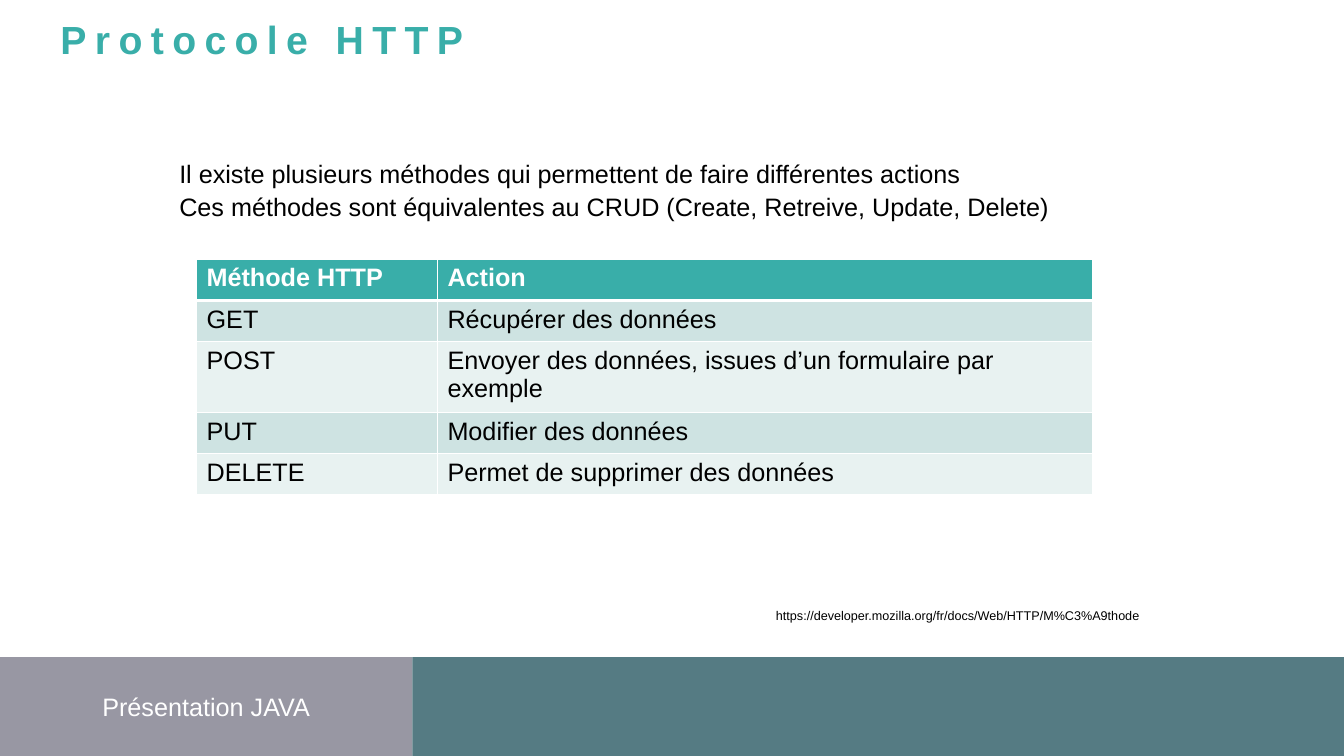
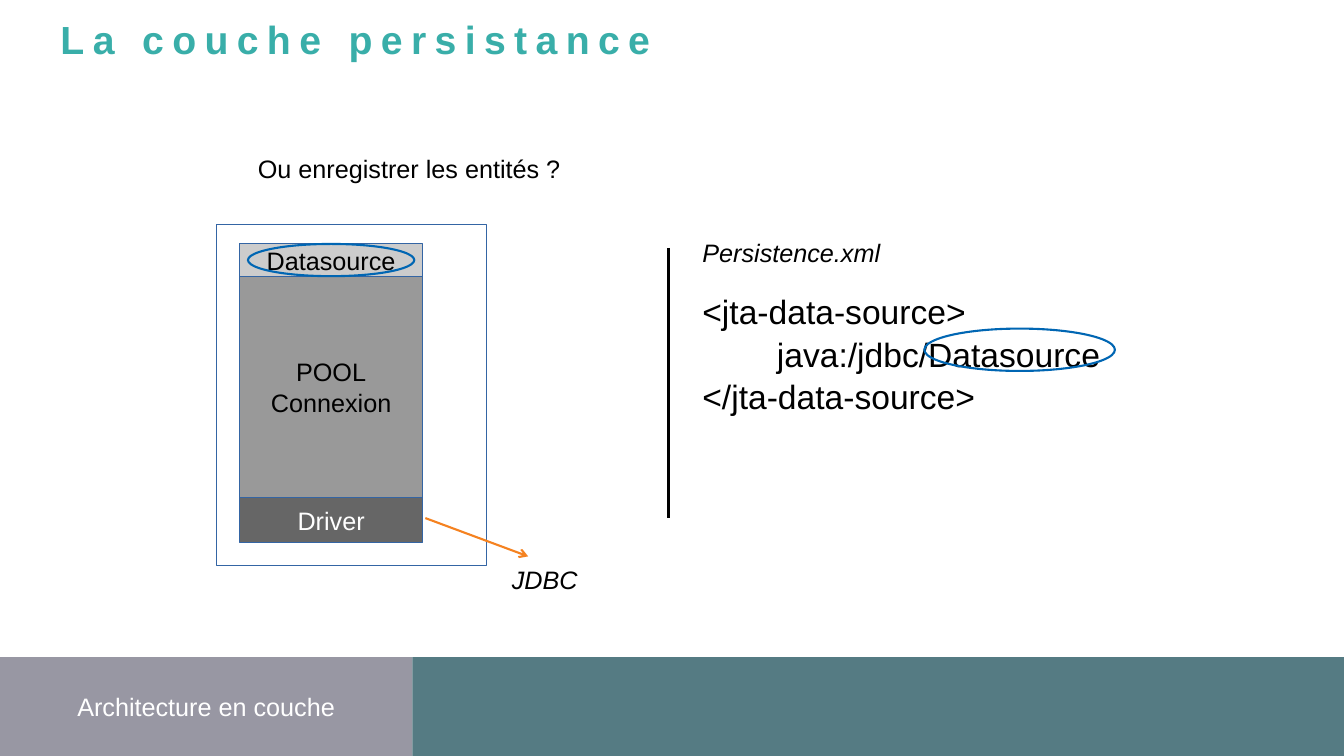
"""Build two course slides: HTTP methods and the persistence layer."""
from dataclasses import dataclass

from lxml import etree
from pptx import Presentation
from pptx.dml.color import RGBColor
from pptx.enum.shapes import MSO_CONNECTOR, MSO_SHAPE
from pptx.enum.text import MSO_ANCHOR, MSO_AUTO_SIZE, PP_ALIGN
from pptx.oxml.ns import qn
from pptx.util import Inches, Pt

RECTANGLE, OVAL = MSO_SHAPE.RECTANGLE, MSO_SHAPE.OVAL
STRAIGHT = MSO_CONNECTOR.STRAIGHT
TOP, MIDDLE = MSO_ANCHOR.TOP, MSO_ANCHOR.MIDDLE
LEFT, CENTER = PP_ALIGN.LEFT, PP_ALIGN.CENTER
NO_AUTOFIT = MSO_AUTO_SIZE.NONE
TITLE_ONLY = 5
COLUMNS, ROWS = 133.33, 75
UNIT = Inches(0.1)
BAND_TOP, BAND_SPLIT = 65.2, 40.9


@dataclass(frozen=True)
class Theme:
    """Colours and type sizes shared by the slides."""

    font: str = "Arial"
    title: int = 28
    code: int = 24
    body: int = 18
    source: int = 9
    black: str = "000000"
    white: str = "FFFFFF"
    accent: str = "39AEA9"
    footer: str = "9897A3"
    band: str = "557B83"
    stripes: tuple = ("CEE3E2", "E8F2F1")
    outline: str = "3465A4"
    marker: str = "0066B3"
    arrow: str = "F58220"
    light: str = "CCCCCC"
    medium: str = "999999"
    dark: str = "666666"


THEME = Theme()


def grid(*lengths):
    """Convert grid columns and rows to slide lengths."""
    return [round(length * UNIT) for length in lengths]


def rgb(code):
    """Turn a hexadecimal code into a colour."""
    return RGBColor.from_string(code)


def write(frame, text, *, size=THEME.body, color=THEME.black, bold=False, italic=False,
          align=LEFT, anchor=TOP, gap=0, leading=None, tracking=0):
    """Write one paragraph per line of text in the given format."""
    frame.word_wrap = True
    frame.vertical_anchor = anchor
    for index, line in enumerate(text.split("\n")):
        para = frame.add_paragraph() if index else frame.paragraphs[0]
        para.alignment = align
        if index:
            para.space_before = Pt(gap)
        if leading:
            para.line_spacing = Pt(leading)
        span = para.add_run()
        span.text = line
        font = span.font
        font.name, font.size = THEME.font, Pt(size)
        font.bold, font.italic = bold, italic
        font.color.rgb = rgb(color)
        if tracking:
            span._r.get_or_add_rPr().set("spc", str(tracking * 100))


def clear_insets(frame):
    """Remove the inner margins of a text frame."""
    frame.margin_left = frame.margin_right = frame.margin_top = frame.margin_bottom = 0


def add_text(page, left, top, width, height, text, **style):
    """Add a text box on the grid."""
    box = page.shapes.add_textbox(*grid(left, top, width, height))
    write(box.text_frame, text, **style)


def add_block(page, left, top, width, height, *, kind=RECTANGLE, fill=None,
              line=None, weight=0, text="", **style):
    """Add a preset shape with optional fill, outline and centred text."""
    block = page.shapes.add_shape(kind, *grid(left, top, width, height))
    block.shadow.inherit = False
    if fill:
        block.fill.solid()
        block.fill.fore_color.rgb = rgb(fill)
    else:
        block.fill.background()
    if line:
        block.line.color.rgb = rgb(line)
        block.line.width = Pt(weight)
    else:
        block.line.fill.background()
    if text:
        clear_insets(block.text_frame)
        write(block.text_frame, text, align=CENTER, anchor=MIDDLE, **style)


def add_line(page, start, end, *, color, weight=0, arrow=False):
    """Add a straight line, with an arrowhead at its end on request."""
    line = page.shapes.add_connector(STRAIGHT, *grid(*start, *end))
    line.line.color.rgb = rgb(color)
    line.line.width = Pt(weight)
    properties = line._element.spPr
    if arrow:
        etree.SubElement(properties.find(qn("a:ln")), qn("a:tailEnd"), type="arrow")
    etree.SubElement(properties, qn("a:effectLst"))


def set_borders(cell, top, bottom):
    """Give a cell white borders, with its own top and bottom weights."""
    properties = cell._tc.get_or_add_tcPr()
    for side, weight in (("L", 1), ("R", 1), ("T", top), ("B", bottom)):
        border = etree.SubElement(properties, qn(f"a:ln{side}"), w=str(Pt(weight)))
        paint = etree.SubElement(border, qn("a:solidFill"))
        etree.SubElement(paint, qn("a:srgbClr"), val=THEME.white)


def add_grid_table(page, left, top, widths, row_height, records):
    """Add a striped table whose first record is the header."""
    frame = page.shapes.add_table(
        len(records), len(widths), *grid(left, top, sum(widths), row_height * len(records)))
    table = frame.table
    for column, width in zip(table.columns, grid(*widths)):
        column.width = width
    for index, record in enumerate(records):
        header = index == 0
        fill = THEME.accent if header else THEME.stripes[(index - 1) % 2]
        for cell, text in zip(table.rows[index].cells, record):
            set_borders(cell, 3 if index == 1 else 1, 3 if header else 1)
            cell.fill.solid()
            cell.fill.fore_color.rgb = rgb(fill)
            write(cell.text_frame, text, bold=header,
                  color=THEME.white if header else THEME.black)


def add_page(deck, title, footer):
    """Add a slide with the shared title style and footer bands."""
    page = deck.slides.add_slide(deck.slide_layouts[TITLE_ONLY])
    heading = page.shapes.title
    heading.left, heading.top, heading.width, heading.height = grid(6, 2.7, 64.6, 3.5)
    clear_insets(heading.text_frame)
    heading.text_frame.auto_size = NO_AUTOFIT
    write(heading.text_frame, title, size=THEME.title, color=THEME.accent,
          bold=True, leading=25, tracking=6)
    height = ROWS - BAND_TOP
    add_block(page, 0, BAND_TOP, BAND_SPLIT, height, fill=THEME.footer,
              text=footer, color=THEME.white)
    add_block(page, BAND_SPLIT, BAND_TOP, COLUMNS - BAND_SPLIT, height, fill=THEME.band)
    return page


def build_http(deck):
    """Build the slide about HTTP methods."""
    page = add_page(deck, "Protocole HTTP", "Présentation JAVA")
    add_text(page, 16.8, 15.2, 90.8, 7.2,
             "Il existe plusieurs méthodes qui permettent de faire différentes actions\n"
             "Ces méthodes sont équivalentes au CRUD (Create, Retreive, Update, Delete)",
             gap=2.3)
    add_grid_table(page, 19.5, 25.7, (23.9, 65), 4.1, (
        ("Méthode HTTP", "Action"),
        ("GET", "Récupérer des données"),
        ("POST", "Envoyer des données, issues d’un formulaire par exemple"),
        ("PUT", "Modifier des données"),
        ("DELETE", "Permet de supprimer des données"),
    ))
    add_text(page, 76, 59.8, 45.3, 2.5,
             "https://developer.mozilla.org/fr/docs/Web/HTTP/M%C3%A9thode", size=THEME.source)


def build_persistence(deck):
    """Build the slide about the persistence layer."""
    page = add_page(deck, "La couche persistance", "Architecture en couche")
    add_text(page, 24.6, 14.7, 53.5, 3.8, "Ou enregistrer les entités ?")
    add_block(page, 21.5, 22.3, 26.8, 33.8, line=THEME.outline)
    top = 24.2
    for text, height, fill, color in (
        ("Datasource", 3.2, THEME.light, THEME.black),
        ("POOL\nConnexion", 22, THEME.medium, THEME.black),
        ("Driver", 4.4, THEME.dark, THEME.white),
    ):
        add_block(page, 23.8, top, 18.1, height, fill=fill, line=THEME.outline,
                  text=text, color=color, gap=1)
        top += height
    add_line(page, (42.2, 51.4), (52.4, 55.2), color=THEME.arrow, weight=1.5, arrow=True)
    add_text(page, 49.8, 55.5, 9.5, 4, "JDBC", italic=True)
    add_line(page, (66.3, 24.6), (66.3, 51.4), color=THEME.black)
    add_text(page, 68.7, 23.1, 21.3, 3.8, "Persistence.xml", italic=True)
    add_text(page, 68.7, 28.4, 44, 12.5,
             "<jta-data-source>\n        java:/jdbc/Datasource\n</jta-data-source>",
             size=THEME.code, gap=1.4)
    for place in ((24.6, 24.2, 16.5, 3.2), (91.7, 32.6, 18.9, 4.2)):
        add_block(page, *place, kind=OVAL, line=THEME.marker, weight=1.5)


def main():
    """Build and save the deck."""
    deck = Presentation()
    deck.slide_width, deck.slide_height = grid(COLUMNS, ROWS)
    build_http(deck)
    build_persistence(deck)
    deck.save("out.pptx")


if __name__ == "__main__":
    main()
